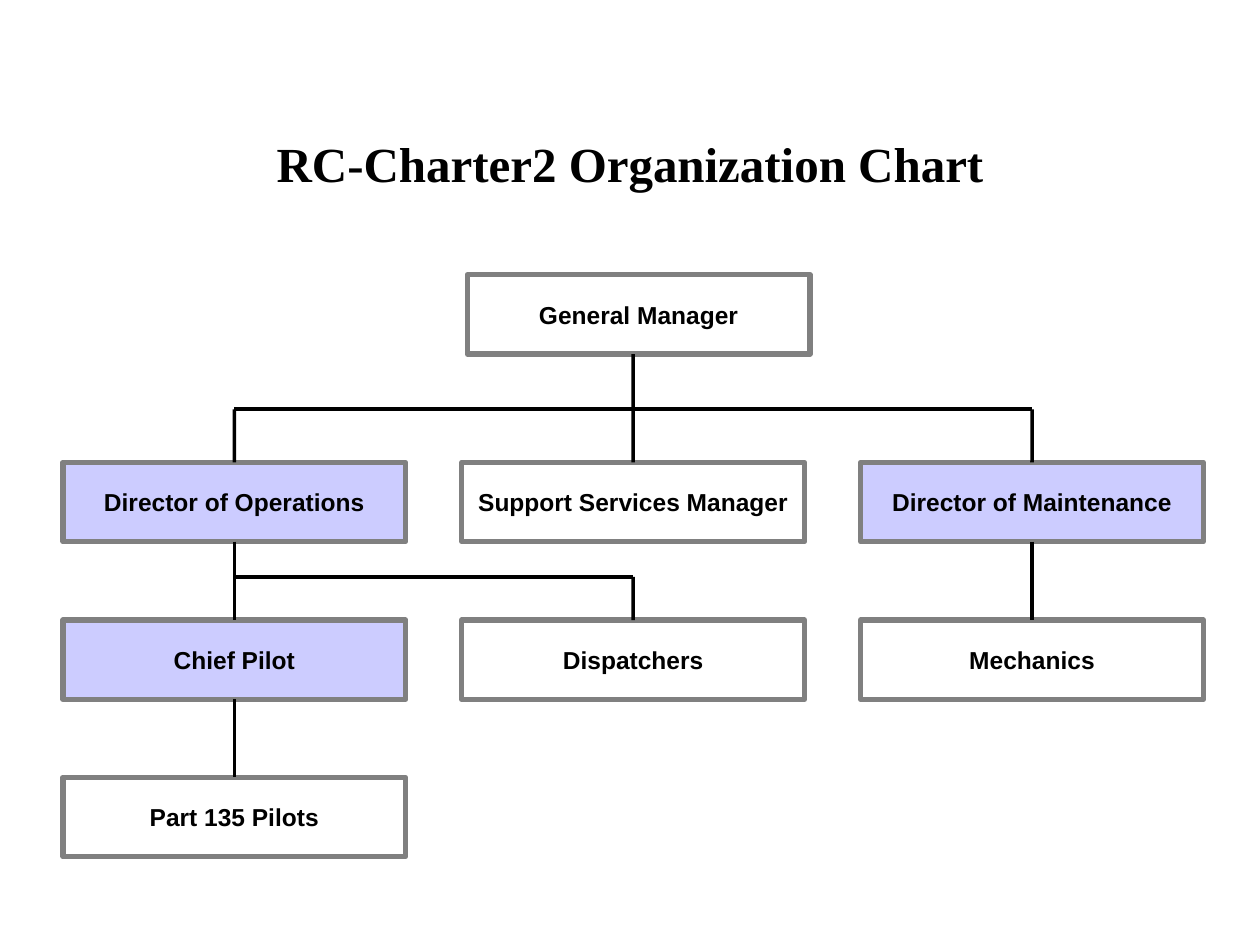
"""Build the organization chart slide."""
from dataclasses import dataclass

from lxml.etree import SubElement
from pptx import Presentation
from pptx.dml.color import RGBColor as Rgb
from pptx.enum.shapes import MSO_CONNECTOR as Connector, MSO_SHAPE as Shape
from pptx.enum.text import MSO_ANCHOR as Anchor, PP_ALIGN as Align
from pptx.oxml.ns import qn
from pptx.util import Cm, Pt

TOP, BOTTOM = 0, 2
BOX_WIDTH, BOX_HEIGHT = 6.91, 1.6
COLUMNS = [1.27 + 8.04 * i for i in range(3)]
ROWS = [5.54, 9.32, 12.5, 15.67]
DIRECTOR_BUS, STAFF_BUS = 8.25, 11.63


@dataclass(frozen=True)
class Theme:
    """Colours, fonts and sizes of the chart."""
    ink: Rgb = Rgb(0x00, 0x00, 0x00)
    border: Rgb = Rgb(0x80, 0x80, 0x80)
    highlight: Rgb = Rgb(0xCC, 0xCC, 0xFF)
    title_font: str = "Times New Roman"
    label_font: str = "Arial"
    title_size: int = 28
    label_size: int = 14
    border_width: int = 3
    link_width: int = 2


def write(frame, text, *, font, size, color, inset=(0, 0)):
    """Put centred bold text into a frame."""
    frame.word_wrap = True
    frame.vertical_anchor = Anchor.MIDDLE
    frame.margin_left = frame.margin_right = Cm(inset[0])
    frame.margin_top = frame.margin_bottom = Cm(inset[1])
    paragraph = frame.paragraphs[0]
    paragraph.alignment = Align.CENTER
    run = paragraph.add_run()
    run.text = text
    run.font.name, run.font.size, run.font.bold = font, Pt(size), True
    run.font.color.rgb = color


class ChartSlide:
    """Draws chart elements on one slide in one theme."""

    def __init__(self, slide, theme):
        self.slide, self.theme = slide, theme

    def title(self, text, left, top, width, height):
        """Fill and place the title placeholder."""
        heading = self.slide.shapes.title
        heading.left, heading.top = Cm(left), Cm(top)
        heading.width, heading.height = Cm(width), Cm(height)
        write(heading.text_frame, text, font=self.theme.title_font,
              size=self.theme.title_size, color=self.theme.ink, inset=(0.25, 0.13))

    def position(self, role, left, top, highlighted=False):
        """Add a labelled box for a role."""
        box = self.slide.shapes.add_shape(
            Shape.RECTANGLE, Cm(left), Cm(top), Cm(BOX_WIDTH), Cm(BOX_HEIGHT))
        box.shadow.inherit = False
        if highlighted:
            box.fill.solid()
            box.fill.fore_color.rgb = self.theme.highlight
        else:
            box.fill.background()
        box.line.color.rgb = self.theme.border
        box.line.width = Pt(self.theme.border_width)
        write(box.text_frame, role, font=self.theme.label_font,
              size=self.theme.label_size, color=self.theme.ink)
        return box

    def link(self, start, end, upper=None, lower=None):
        """Draw a line, joined to the boxes above and below if given."""
        line = self.slide.shapes.add_connector(
            Connector.STRAIGHT, *(Cm(value) for value in (*start, *end)))
        line.line.color.rgb = self.theme.ink
        line.line.width = Pt(self.theme.link_width)
        SubElement(line._element.spPr, qn("a:effectLst"))
        if upper is not None:
            line.begin_connect(upper, BOTTOM)
        if lower is not None:
            line.end_connect(lower, TOP)


def main():
    """Build and save the slide."""
    deck = Presentation()
    deck.slide_width, deck.slide_height = Cm(25.4), Cm(19.05)
    chart = ChartSlide(deck.slides.add_slide(deck.slide_layouts[5]), Theme())
    chart.title("RC-Charter2 Organization Chart", 1.9, 1.7, 21.6, 3.18)

    left, middle, right = COLUMNS
    top_row, director_row, staff_row, pilot_row = ROWS
    chart.position("General Manager", 9.42, top_row)
    operations = chart.position("Director of Operations", left, director_row, True)
    support = chart.position("Support Services Manager", middle, director_row)
    maintenance = chart.position("Director of Maintenance", right, director_row, True)
    chief_pilot = chart.position("Chief Pilot", left, staff_row, True)
    dispatchers = chart.position("Dispatchers", middle, staff_row)
    mechanics = chart.position("Mechanics", right, staff_row)
    pilots = chart.position("Part 135 Pilots", left, pilot_row)

    left_x, middle_x, right_x = (column + BOX_WIDTH / 2 for column in COLUMNS)
    chart.link((left_x, DIRECTOR_BUS), (right_x, DIRECTOR_BUS))
    chart.link((left_x, STAFF_BUS), (middle_x, STAFF_BUS))
    drops = [
        (left_x, DIRECTOR_BUS, director_row, operations),
        (middle_x, top_row + BOX_HEIGHT, director_row, support),
        (right_x, DIRECTOR_BUS, director_row, maintenance),
        (middle_x, STAFF_BUS, staff_row, dispatchers),
    ]
    for x, start, end, report in drops:
        chart.link((x, start), (x, end), lower=report)
    reporting = [
        (left_x, director_row, staff_row, operations, chief_pilot),
        (right_x, director_row, staff_row, maintenance, mechanics),
        (left_x, staff_row, pilot_row, chief_pilot, pilots),
    ]
    for x, upper_row, lower_row, leader, report in reporting:
        chart.link((x, upper_row + BOX_HEIGHT), (x, lower_row), leader, report)

    deck.save("out.pptx")


if __name__ == "__main__":
    main()
